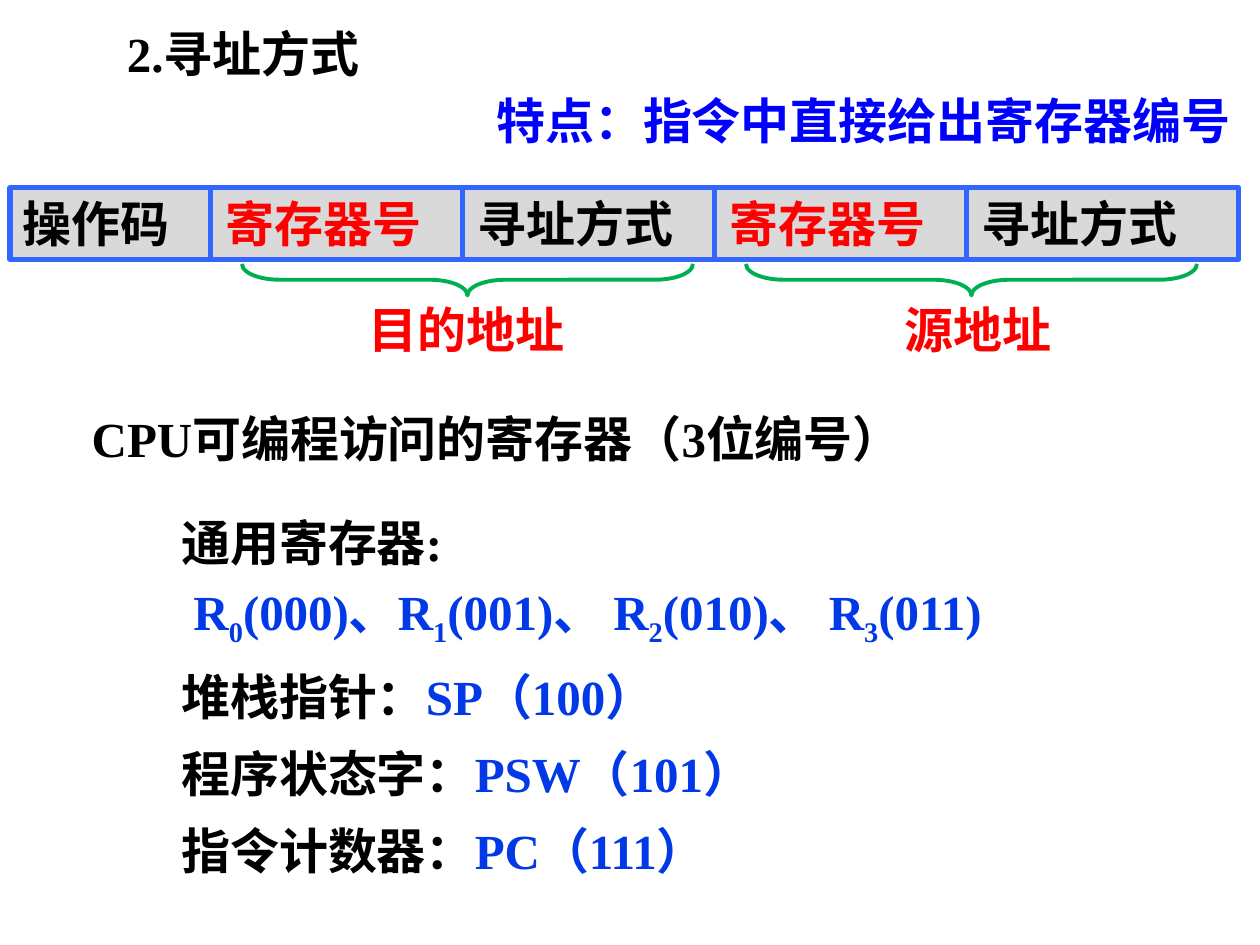
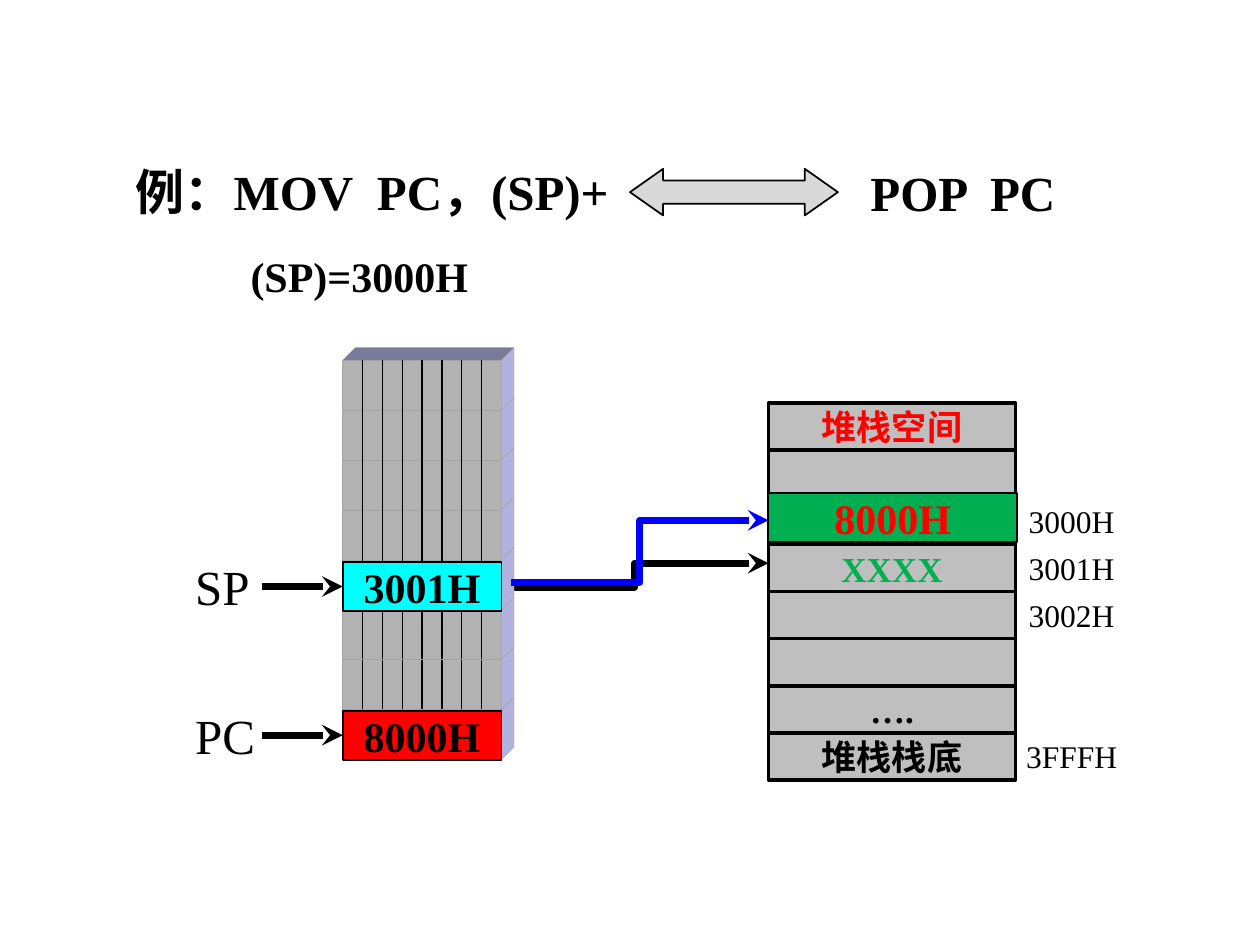
import pptx
import pptx.dml.color
import pptx.enum.shapes
import pptx.enum.text
import pptx.oxml.ns
import pptx.util
from lxml import etree
from pptx.util import Inches

FONT = "Times New Roman"
BLACK, RED, GREEN, BLUE = "000000", "FF0000", "00B050", "0000FF"
REGISTER_BLUE, FRAME_BLUE, PALE_GREY = "0039E5", "3366FF", "D9D9D9"
MEMORY_GREY, FRONT_GREY, SEAM_GREY = "BFBFBF", "B2B2B2", "A3A3A3"
TOP_FACE, SIDE_FACE, CYAN = "7A7A99", "B2B2DE", "00FFFF"
SHAPES = pptx.enum.shapes.MSO_SHAPE
CONNECTORS = pptx.enum.shapes.MSO_CONNECTOR
CENTER = pptx.enum.text.PP_ALIGN.CENTER
MIDDLE = pptx.enum.text.MSO_ANCHOR.MIDDLE


def color(value):
    """Turn a hex string into a colour."""
    return pptx.dml.color.RGBColor.from_string(value)


def add_child(parent, tag, **attributes):
    """Append a drawing element to an XML parent."""
    return etree.SubElement(parent, pptx.oxml.ns.qn(tag), **attributes)


def style(shape, fill=None, line=None, width=1):
    """Set the fill and outline of a shape and drop its shadow."""
    shape.shadow.inherit = False
    if fill:
        shape.fill.solid()
        shape.fill.fore_color.rgb = color(fill)
    else:
        shape.fill.background()
    if line:
        shape.line.color.rgb = color(line)
        shape.line.width = pptx.util.Pt(width)
    else:
        shape.line.fill.background()
    return shape


def add_runs(paragraph, runs, size, bold=True):
    """Add (text, colour) runs; a third item marks a subscript."""
    for text, run_color, *subscript in runs:
        run = paragraph.add_run()
        run.text = text
        run.font.name = FONT
        run.font.size = pptx.util.Pt(size)
        run.font.bold = bold
        run.font.color.rgb = color(run_color)
        if subscript:
            run.font._element.set("baseline", "-25000")


def add_shape(slide, kind, box, fill=None, line=None, width=1):
    """Add a styled preset shape in a box given in inches."""
    shape = slide.shapes.add_shape(kind, *map(Inches, box))
    return style(shape, fill, line, width)


def add_cell(slide, box, text, text_color, size, fill, width):
    """Add an outlined rectangle with a centred bold value."""
    cell = add_shape(slide, SHAPES.RECTANGLE, box, fill, BLACK, width)
    if text:
        cell.text_frame.vertical_anchor = MIDDLE
        paragraph = cell.text_frame.paragraphs[0]
        paragraph.alignment = CENTER
        add_runs(paragraph, [(text, text_color)], size)
    return cell


def add_text(slide, box, paragraphs, size=28, bold=True, wrap=True):
    """Add a text box from a list of paragraphs made of runs."""
    text_box = slide.shapes.add_textbox(*map(Inches, box))
    frame = text_box.text_frame
    frame.word_wrap = wrap
    frame.auto_size = pptx.enum.text.MSO_AUTO_SIZE.SHAPE_TO_FIT_TEXT
    for index, runs in enumerate(paragraphs):
        paragraph = frame.add_paragraph() if index else frame.paragraphs[0]
        if len(paragraphs) > 1:
            paragraph.line_spacing = pptx.util.Pt(30)
        if index:
            paragraph.space_before = pptx.util.Pt(size / 2)
        add_runs(paragraph, runs, size, bold)
    return text_box


def add_line(slide, start, end, line_color, width, arrow=False,
             kind=CONNECTORS.STRAIGHT):
    """Add a connector between two points, optionally with an arrowhead."""
    line = slide.shapes.add_connector(kind, *map(Inches, (*start, *end)))
    line.line.color.rgb = color(line_color)
    line.line.width = pptx.util.Pt(width)
    if arrow:
        add_child(line.line._get_or_add_ln(), "a:tailEnd", type="stealth")
    add_child(line._element.spPr, "a:effectLst")
    return line


def add_face(slide, points, fill):
    """Add a filled polygon through points given in inches."""
    corners = [tuple(map(Inches, point)) for point in points]
    builder = slide.shapes.build_freeform(*corners[0])
    builder.add_line_segments(corners[1:], close=True)
    style(builder.convert_to_shape(), fill, SEAM_GREY, 0.25)


def instruction_format(slide, box):
    """Draw the instruction word with its fields and address braces."""
    left, top, _, height = box
    bar = add_shape(slide, SHAPES.RECTANGLE, box, PALE_GREY, FRAME_BLUE, 3)
    bar.text_frame.vertical_anchor = pptx.enum.text.MSO_ANCHOR.TOP
    paragraph = bar.text_frame.paragraphs[0]
    paragraph.alignment = pptx.enum.text.PP_ALIGN.LEFT
    tabs = add_child(paragraph._p.get_or_add_pPr(), "a:tabLst")
    dividers = [left + 1.59 + 2 * index for index in range(4)]
    for divider in dividers:
        position = Inches(divider - left + 0.02)
        add_child(tabs, "a:tab", pos=str(position), algn="l")
        add_line(slide, (divider, top), (divider, top + height), FRAME_BLUE, 3)
    address = [("\t寄存器号", RED), ("\t寻址方式", BLACK)]
    add_runs(paragraph, [("操作码", BLACK)] + address * 2, 28)

    brace_width, brace_length = 0.25, 3.58
    for divider in dividers[::2]:
        center = divider + 2.04
        brace_box = (center - brace_width / 2,
                     top + 0.73 - brace_length / 2, brace_width, brace_length)
        brace = add_shape(slide, SHAPES.LEFT_BRACE, brace_box, None, GREEN, 2.25)
        brace.rotation = 270
        brace.adjustments[0] = 1.194
    for offset, width, label in ((2.75, 1.78, "目的地址"), (7, 1.39, "源地址")):
        add_text(slide, (left + offset, top + 0.84, width, 0.57),
                 [[(label, RED)]], wrap=False)


def register_list(slide, box):
    """List the programmable registers and their numbers."""
    numbered = [(" R", REGISTER_BLUE)]
    for index, tail in enumerate(("(000)、R", "(001)、 R", "(010)、 R", "(011)")):
        numbered += [(str(index), REGISTER_BLUE, True), (tail, REGISTER_BLUE)]
    special = [("堆栈指针：", "SP（100）"), ("程序状态字：", "PSW（101）"),
               ("指令计数器：", "PC（111）")]
    add_text(slide, box, [[("通用寄存器:", BLACK)], numbered] + [
        [(name, BLACK), (code, REGISTER_BLUE)] for name, code in special])


def register_stack(slide, box, rows=8, bits=8, depth=0.1):
    """Draw the block of registers with their bit cells in relief."""
    left, top, width, height = box
    right, row_height = left + width, height / rows
    add_face(slide, [(left, top), (left + depth, top - depth),
                     (right + depth, top - depth), (right, top)], TOP_FACE)
    for row in range(rows):
        upper = top + row * row_height
        lower = upper + row_height
        add_shape(slide, SHAPES.RECTANGLE, (left, upper, width, row_height),
                  FRONT_GREY, SEAM_GREY, 0.5)
        add_face(slide, [(right, upper), (right + depth, upper - depth),
                         (right + depth, lower - depth), (right, lower)], SIDE_FACE)
        for bit in range(1, bits):
            x = left + bit * width / bits
            add_line(slide, (x, upper), (x, lower), BLACK, 0.75)


def register_pointer(slide, box, name, value, fill):
    """Draw a register value with its name and arrow on the left."""
    left, top, _, height = box
    cell = add_cell(slide, box, value, BLACK, 24, fill, 1)
    middle = top + height / 2
    add_text(slide, (left - 1.27, top - 0.09, 0.75, 0.57),
             [[(name, BLACK)]], bold=False)
    arrow = add_line(slide, (left - 0.64, middle), (left, middle), BLACK, 4, True)
    arrow.end_connect(cell, 1)


def stack_memory(slide, box):
    """Draw the stack cells and their addresses."""
    left, top, width, height = box
    cells = [("堆栈空间", RED, ""), ("", BLACK, ""), ("", BLACK, "3000H"),
             ("XXXX", GREEN, "3001H"), ("", BLACK, "3002H"), ("", BLACK, ""),
             ("….", BLACK, ""), ("堆栈栈底", BLACK, "3FFFH")]
    row_height = height / len(cells)
    for row, (text, text_color, address) in enumerate(cells):
        y = top + row * row_height
        add_cell(slide, (left, y, width, row_height), text, text_color, 20,
                 MEMORY_GREY, 2)
        if address:
            label = add_text(slide, (left + 1.89, y, 1.03, row_height),
                             [[(address, BLACK)]], 18, False)
            label.text_frame.vertical_anchor = MIDDLE
            label.text_frame.paragraphs[0].alignment = CENTER
    add_cell(slide, (left, top + 0.71, width + 0.01, 0.39), "8000H", RED, 24,
             GREEN, 1)


def addressing_slide(slide):
    """Build the slide on register addressing."""
    add_text(slide, (0.91, 0.14, 2.44, 0.57), [[("2.寻址方式", BLACK)]])
    add_text(slide, (3.84, 0.67, 6.12, 0.57),
             [[("特点：指令中直接给出寄存器编号", BLUE)]], wrap=False)
    instruction_format(slide, (0.08, 1.49, 9.75, 0.57))
    add_text(slide, (0.63, 3.19, 6.97, 0.57),
             [[("CPU可编程访问的寄存器（3位编号）", BLACK)]])
    register_list(slide, (1.34, 4.07, 7.05, 3.15))


def pop_example_slide(slide):
    """Build the slide with the stack pop example."""
    add_text(slide, (0.98, 1.23, 4.65, 0.57), [[("例：MOV  PC，(SP)+", BLACK)]])
    add_text(slide, (6.81, 1.24, 1.89, 0.57), [[("POP  PC", BLACK)]])
    equivalence = add_shape(slide, SHAPES.LEFT_RIGHT_ARROW,
                            (5, 1.34, 1.65, 0.37), PALE_GREY, BLACK)
    equivalence.adjustments[1] = 0.71
    add_text(slide, (1.89, 1.94, 1.94, 0.5), [[("(SP)=3000H", BLACK)]], 24,
             wrap=False)
    elbow = CONNECTORS.ELBOW
    add_line(slide, (3.97, 4.66), (6.1, 4.47), BLACK, 4, True, elbow)
    register_stack(slide, (2.72, 2.86, 1.26, 3.17))
    stack_memory(slide, (6.1, 3.2, 1.96, 2.99))
    add_line(slide, (4.06, 4.62), (6.1, 4.13), BLUE, 4, True, elbow)
    register_pointer(slide, (2.72, 4.46, 1.26, 0.39), "SP", "3001H", CYAN)
    register_pointer(slide, (2.72, 5.64, 1.26, 0.39), "PC", "8000H", RED)


def main():
    """Build and save the presentation."""
    presentation = pptx.Presentation()
    presentation.slide_width = Inches(10)
    presentation.slide_height = Inches(7.5)
    for build in (addressing_slide, pop_example_slide):
        build(presentation.slides.add_slide(presentation.slide_layouts[6]))
    presentation.save("out.pptx")


if __name__ == "__main__":
    main()
